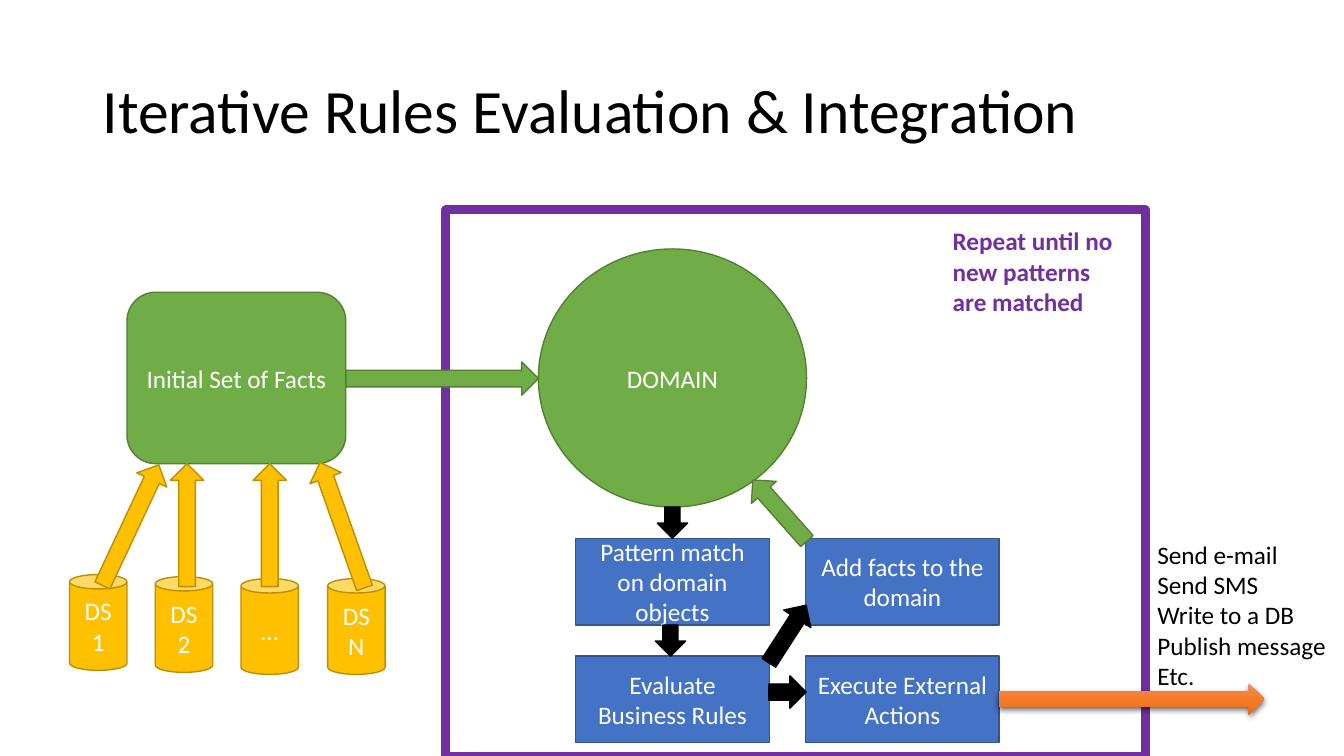
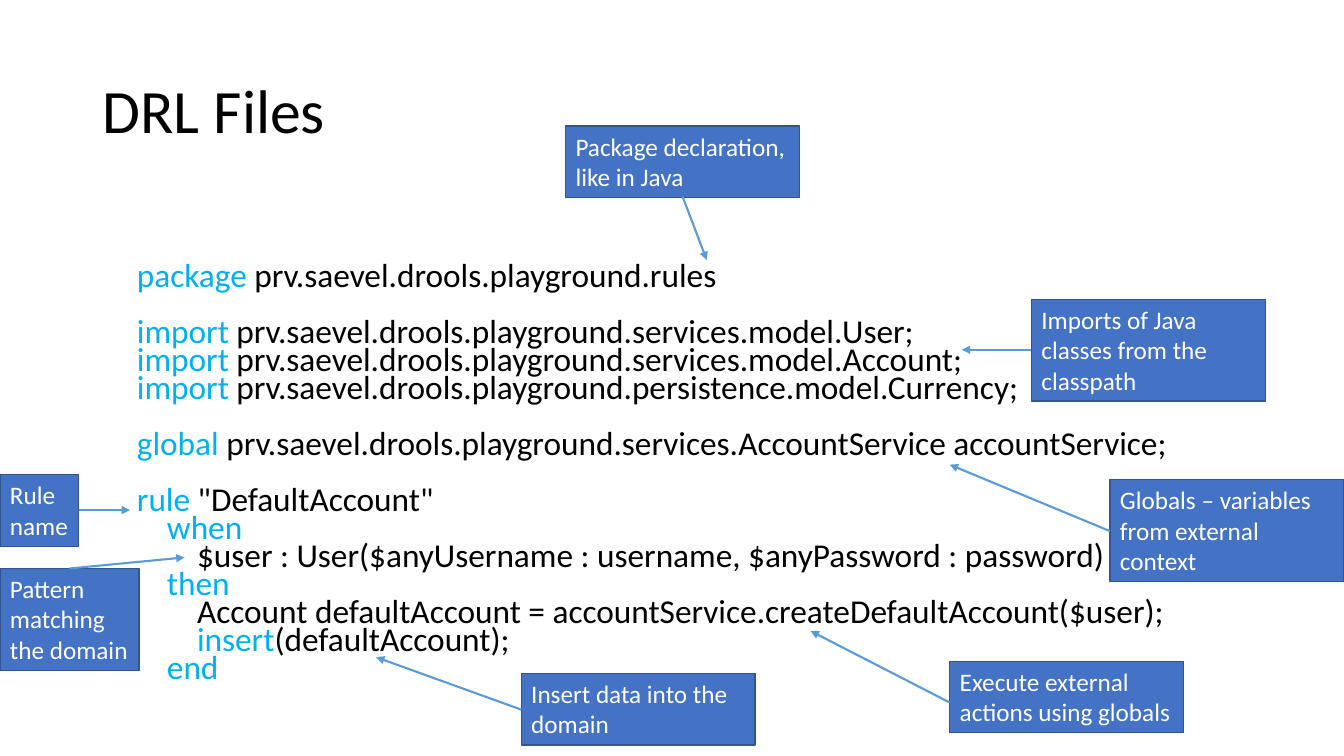
from dataclasses import dataclass

from lxml import etree
from pptx import Presentation
from pptx.dml.color import RGBColor
from pptx.enum.shapes import MSO_CONNECTOR, MSO_SHAPE
from pptx.enum.text import MSO_ANCHOR, PP_ALIGN
from pptx.oxml.ns import qn
from pptx.util import Pt

RECT, ROUND_RECT, OVAL, CAN = (MSO_SHAPE.RECTANGLE, MSO_SHAPE.ROUNDED_RECTANGLE,
                               MSO_SHAPE.OVAL, MSO_SHAPE.CAN)
DOWN, RIGHT = MSO_SHAPE.DOWN_ARROW, MSO_SHAPE.RIGHT_ARROW
STRAIGHT = MSO_CONNECTOR.STRAIGHT
TOP, MIDDLE = MSO_ANCHOR.TOP, MSO_ANCHOR.MIDDLE
LEFT, CENTER = PP_ALIGN.LEFT, PP_ALIGN.CENTER
PX = 9144


@dataclass(frozen=True)
class Theme:
    font: str = "Calibri"
    title_size: float = 44
    code_size: float = 23.8
    text_size: float = 18
    black: str = "000000"
    white: str = "FFFFFF"
    purple: str = "7030A0"
    keyword: str = "00B0F0"
    pointer: str = "5B9BD5"
    blue: tuple = ("4472C4", "325491")
    green: tuple = ("70AD47", "538035")
    gold: tuple = ("FFC000", "BD8E00")
    ink: tuple = ("000000", "000000")
    orange: tuple = ((0, "F18C57"), (50, "F67B28"), (100, "E56C19"))


theme = Theme()


def add_shape(slide, kind, box, colors, line_width=1, rotation=0):
    sp = slide.shapes.add_shape(kind, *[v * PX for v in box])
    sp.shadow.inherit = False
    sp.rotation = rotation
    fill, line = colors
    sp.fill.solid()
    sp.fill.fore_color.rgb = RGBColor.from_string(fill)
    sp.line.color.rgb = RGBColor.from_string(line)
    sp.line.width = Pt(line_width)
    return sp


def write(sp, lines, color, size=theme.text_size, align=LEFT, anchor=TOP, bold=False):
    tf = sp.text_frame
    tf.text = "\n".join(lines)
    tf.word_wrap = True
    tf.vertical_anchor = anchor
    for p in tf.paragraphs:
        p.alignment = align
        for r in p.runs:
            r.font.name = theme.font
            r.font.size = Pt(size)
            r.font.bold = bold
            r.font.color.rgb = RGBColor.from_string(color)
    return tf


prs = Presentation()
prs.slide_width, prs.slide_height = 1333 * PX, 750 * PX
slides = []
for title in ["Iterative Rules Evaluation & Integration", "DRL Files"]:
    slide = prs.slides.add_slide(prs.slide_layouts[6])
    sp = slide.shapes.add_textbox(92 * PX, 40 * PX, 1150 * PX, 145 * PX)
    tf = write(sp, [title], theme.black, theme.title_size, anchor=MIDDLE)
    tf.paragraphs[0].line_spacing = 0.9
    slides.append(slide)
flow, drl = slides

add_shape(flow, RECT, (442, 208, 694, 542), (theme.white, theme.purple), 6)

COL_1, COL_2, ROW_1, ROW_2 = 571, 799, 534, 651
STEP = (192, 86)
CYLINDER = (57, 95)
nodes = [
    (OVAL, (534, 247, 266, 256), theme.green, "DOMAIN"),
    (ROUND_RECT, (126, 290, 217, 170), theme.green, "Initial Set of Facts"),
    (RECT, (COL_1, ROW_2, *STEP), theme.blue, "Evaluate Business Rules"),
    (RECT, (COL_1, ROW_1, *STEP), theme.blue, "Pattern match on domain objects"),
    (RECT, (COL_2, ROW_2, *STEP), theme.blue, "Execute External Actions"),
    (RECT, (COL_2, ROW_1, *STEP), theme.blue, "Add facts to the domain"),
    (CAN, (69, 570, *CYLINDER), theme.gold, "DS1"),
    (CAN, (154, 572, *CYLINDER), theme.gold, "DS2"),
    (CAN, (239, 574, *CYLINDER), theme.gold, "…"),
    (CAN, (325, 574, *CYLINDER), theme.gold, "DS N"),
]
for kind, box, colors, label in nodes:
    sp = add_shape(flow, kind, box, colors)
    write(sp, [label], theme.white, align=CENTER, anchor=MIDDLE)

arrows = [
    ((652, 503, 30, 31), theme.ink, 0),
    ((650, 620, 30, 31), theme.ink, 0),
    ((765, 595, 32, 68), theme.ink, 212.8),
    ((765, 668, 32, 37), theme.ink, 270),
    ((757, 466, 33, 81), theme.green, 138.5),
    ((422, 280, 33, 191), theme.green, 270),
    ((113, 455, 33, 132), theme.gold, 205.1),
    ((169, 460, 33, 122), theme.gold, 180),
    ((251, 460, 33, 122), theme.gold, 180),
    ((323, 455, 33, 132), theme.gold, 160.5),
]
for box, colors, rotation in arrows:
    add_shape(flow, DOWN, box, colors, rotation=rotation)

sp = add_shape(flow, RIGHT, (991, 678, 263, 31), theme.ink)
sp.line.fill.background()
sp.fill.gradient()
sp.fill.gradient_angle = 270
spPr = sp._element.spPr
stops = spPr.find(qn("a:gradFill")).find(qn("a:gsLst"))
for stop in list(stops):
    stops.remove(stop)
for position, color in theme.orange:
    stop = etree.SubElement(stops, qn("a:gs"), pos=str(position * 1000))
    etree.SubElement(stop, qn("a:srgbClr"), val=color)
shadow = etree.SubElement(spPr.find(qn("a:effectLst")), qn("a:outerShdw"),
                          blurRad=str(Pt(4.5)), dist=str(Pt(1.5)), dir="5400000",
                          algn="ctr", rotWithShape="0")
shade = etree.SubElement(shadow, qn("a:srgbClr"), val=theme.black)
etree.SubElement(shade, qn("a:alpha"), val="63000")

notes = [
    ((935, 219, 191, 101), ["Repeat until no new patterns are matched"], theme.purple, True),
    ((1138, 530, 192, 162),
     ["Send e-mail", "Send SMS", "Write to a DB", "Publish message", "Etc."],
     theme.black, False),
]
for box, lines, color, bold in notes:
    sp = flow.shapes.add_textbox(*[v * PX for v in box])
    write(sp, lines, color, bold=bold)

code_groups = [
    [("package", " prv.saevel.drools.playground.rules")],
    [("import", " prv.saevel.drools.playground.services.model.User;"),
     ("import", " prv.saevel.drools.playground.services.model.Account;"),
     ("import", " prv.saevel.drools.playground.persistence.model.Currency;")],
    [("global", " prv.saevel.drools.playground.services.AccountService accountService;")],
    [("rule", ' "DefaultAccount"'),
     ("    when", ""),
     ("", "        $user : User($anyUsername : username, $anyPassword : password)"),
     ("    then", ""),
     ("", "        Account defaultAccount = accountService.createDefaultAccount($user);"),
     ("        insert", "(defaultAccount);"),
     ("    end", "")],
]
sp = drl.shapes.add_textbox(126 * PX, 258 * PX, 1150 * PX, 476 * PX)
tf = sp.text_frame
tf.word_wrap = True
p = tf.paragraphs[0]
for g, group in enumerate(code_groups):
    for i, parts in enumerate(group):
        if g or i:
            p = tf.add_paragraph()
        p.line_spacing = 0.7
        p.space_before = Pt(20 if g and i == 0 else 0)
        for text, color in zip(parts, (theme.keyword, theme.black)):
            if text:
                r = p.add_run()
                r.text = text
                r.font.name = theme.font
                r.font.size = Pt(theme.code_size)
                r.font.color.rgb = RGBColor.from_string(color)

callouts = [
    ("Package declaration, like in Java", (561, 125, 232, 71), (677, 195), (701, 258)),
    ("Imports of Java classes from the classpath",
     (1023, 297, 232, 101), (1023, 347), (954, 347)),
    ("Globals – variables from external context",
     (1101, 476, 232, 101), (1101, 527), (942, 461)),
    ("Rule name", (0, 471, 78, 71), (78, 506), (129, 506)),
    ("Pattern matching the domain", (0, 564, 138, 101), (69, 564), (183, 553)),
    ("Execute external actions using globals",
     (942, 656, 232, 71), (942, 697), (804, 626)),
    ("Insert data into the domain", (517, 668, 232, 71), (517, 704), (373, 652)),
]
for text, box, start, end in callouts:
    write(add_shape(drl, RECT, box, theme.blue), [text], theme.white)
    line = drl.shapes.add_connector(STRAIGHT, *[v * PX for v in start + end])
    line.line.color.rgb = RGBColor.from_string(theme.pointer)
    line.line.width = Pt(1.5)
    spPr = line._element.spPr
    etree.SubElement(spPr.find(qn("a:ln")), qn("a:tailEnd"), type="triangle")
    etree.SubElement(spPr, qn("a:effectLst"))

prs.save("out.pptx")
